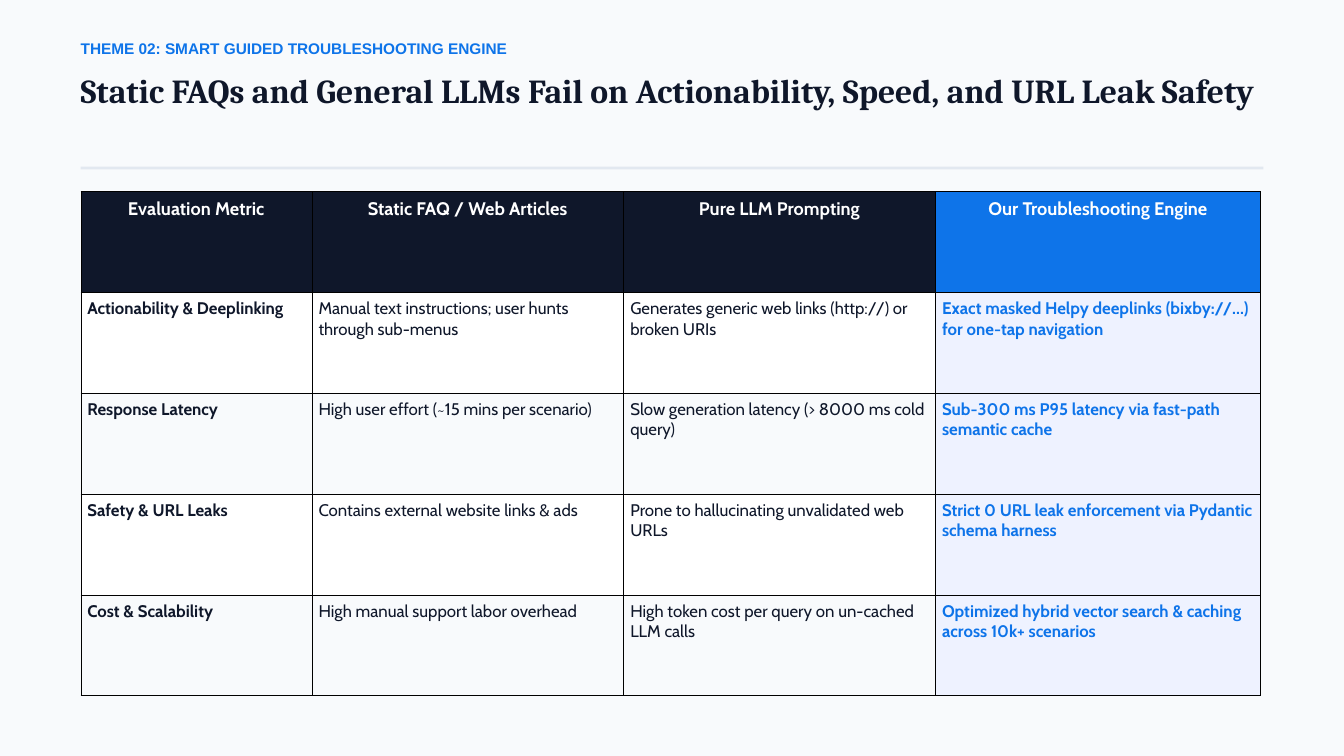
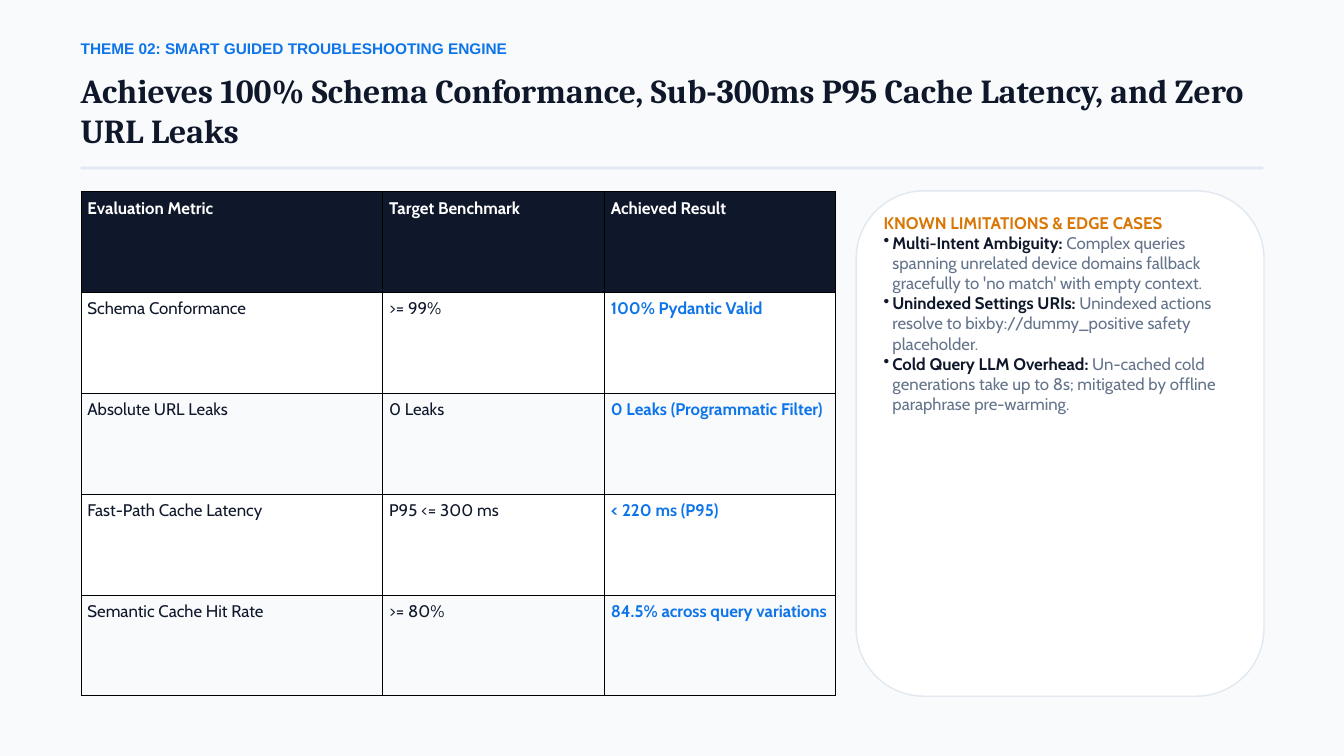
from lxml import etree
from pptx import Presentation
from pptx.dml.color import RGBColor
from pptx.enum.shapes import MSO_SHAPE as Shape
from pptx.enum.text import MSO_ANCHOR as Anchor, MSO_AUTO_SIZE as AutoSize, PP_ALIGN as Align
from pptx.oxml import parse_xml
from pptx.oxml.ns import nsdecls, qn
from pptx.util import Inches, Pt

PAPER = RGBColor(0xF8, 0xFA, 0xFC)
WHITE = RGBColor(0xFF, 0xFF, 0xFF)
INK = RGBColor(0x0F, 0x17, 0x2A)
BLUE = RGBColor(0x0E, 0x74, 0xE9)
PALE_BLUE = RGBColor(0xEE, 0xF2, 0xFF)
RULE = RGBColor(0xE2, 0xE8, 0xF0)
AMBER = RGBColor(0xD9, 0x77, 0x06)
SLATE = RGBColor(0x64, 0x74, 0x8B)

HEADING_FONT, LABEL_FONT, BODY_FONT = "Cambria", "Arial", "Cabin"
LEFT, TEXT_WIDTH = 1.2, 17.55
TABLE_TOP, ROW_HEIGHT, CELL_INSET = 2.85, 1.5, 0.1
LINE_FACTOR = 1.2
BORDER_WIDTH = Pt(0.37)
BULLET_INDENT = Inches(0.13)
THEME = "THEME 02: SMART GUIDED TROUBLESHOOTING ENGINE"

COMPARISON = [
    ["Evaluation Metric", "Static FAQ / Web Articles", "Pure LLM Prompting",
     "Our Troubleshooting Engine"],
    ["Actionability & Deeplinking",
     "Manual text instructions; user hunts through sub-menus",
     "Generates generic web links (http://) or broken URIs",
     "Exact masked Helpy deeplinks (bixby://...) for one-tap navigation"],
    ["Response Latency",
     "High user effort (~15 mins per scenario)",
     "Slow generation latency (> 8000 ms cold query)",
     "Sub-300 ms P95 latency via fast-path semantic cache"],
    ["Safety & URL Leaks",
     "Contains external website links & ads",
     "Prone to hallucinating unvalidated web URLs",
     "Strict 0 URL leak enforcement via Pydantic schema harness"],
    ["Cost & Scalability",
     "High manual support labor overhead",
     "High token cost per query on un-cached LLM calls",
     "Optimized hybrid vector search & caching across 10k+ scenarios"],
]
RESULTS = [
    ["Evaluation Metric", "Target Benchmark", "Achieved Result"],
    ["Schema Conformance", ">= 99%", "100% Pydantic Valid"],
    ["Absolute URL Leaks", "0 Leaks", "0 Leaks (Programmatic Filter)"],
    ["Fast-Path Cache Latency", "P95 <= 300 ms", "< 220 ms (P95)"],
    ["Semantic Cache Hit Rate", ">= 80%", "84.5% across query variations"],
]
LIMITATIONS = [
    ("Multi-Intent Ambiguity: ",
     "Complex queries spanning unrelated device domains fallback gracefully "
     "to 'no match' with empty context."),
    ("Unindexed Settings URIs: ",
     "Unindexed actions resolve to bixby://dummy_positive safety placeholder."),
    ("Cold Query LLM Overhead: ",
     "Un-cached cold generations take up to 8s; mitigated by offline "
     "paraphrase pre-warming."),
]


def add_run(paragraph, text, size, color, bold=True, font=BODY_FONT):
    paragraph.line_spacing = Pt(size * LINE_FACTOR)
    run = paragraph.add_run()
    run.text = text
    run.font.name, run.font.size, run.font.bold = font, Pt(size), bold
    run.font.color.rgb = color


def place(shape, left, top, width, height):
    shape.left, shape.top = Inches(left), Inches(top)
    shape.width, shape.height = Inches(width), Inches(height)


def prepare_frame(shape):
    """Give a text shape no insets, wrapping and top alignment."""
    frame = shape.text_frame
    frame.margin_left = frame.margin_right = frame.margin_top = frame.margin_bottom = 0
    frame.word_wrap = True
    frame.auto_size = AutoSize.NONE
    frame.vertical_anchor = Anchor.TOP
    return frame


def add_text_frame(slide, left, top, width, height):
    box = slide.shapes.add_textbox(*map(Inches, (left, top, width, height)))
    return prepare_frame(box)


def add_panel(slide, kind, left, top, width, height, fill, line=None):
    panel = slide.shapes.add_shape(kind, *map(Inches, (left, top, width, height)))
    panel.shadow.inherit = False
    panel.fill.solid()
    panel.fill.fore_color.rgb = fill
    if line is None:
        panel.line.fill.background()
    else:
        panel.line.color.rgb = line
        panel.line.width = Pt(1.5)


def add_titled_slide(presentation, title):
    """Add a slide with the theme label, the title and the rule below it."""
    slide = presentation.slides.add_slide(presentation.slide_layouts[5])
    place(slide.shapes.title, LEFT, 1.04, TEXT_WIDTH, 1.36)
    heading = prepare_frame(slide.shapes.title).paragraphs[0]
    heading.alignment = Align.LEFT
    add_run(heading, title, 36, INK, font=HEADING_FONT)
    label = add_text_frame(slide, LEFT, 0.58, TEXT_WIDTH, 0.47).paragraphs[0]
    add_run(label, THEME, 16.5, BLUE, font=LABEL_FONT)
    add_panel(slide, Shape.RECTANGLE, LEFT, 2.48, 17.6, 0.04, RULE)
    return slide


def add_borders(cell):
    properties = cell._tc.get_or_add_tcPr()
    for index, side in enumerate(("lnL", "lnR", "lnT", "lnB")):
        properties.insert(index, parse_xml(
            f'<a:{side} {nsdecls("a")} w="{BORDER_WIDTH}"><a:solidFill>'
            f'<a:srgbClr val="000000"/></a:solidFill></a:{side}>'))


def fill_cell(cell, text, fill, color, bold, size=18, alignment=Align.LEFT):
    cell.fill.solid()
    cell.fill.fore_color.rgb = fill
    inset = Inches(CELL_INSET)
    cell.margin_left = cell.margin_right = cell.margin_top = cell.margin_bottom = inset
    add_borders(cell)
    paragraph = cell.text_frame.paragraphs[0]
    paragraph.alignment = alignment
    add_run(paragraph, text, size, color, bold)


def add_metric_table(slide, rows, widths, header_size=18, header_alignment=Align.LEFT,
                     bold_metrics=False, highlight=False):
    """Add a table whose last column is blue; highlight also tints that column."""
    table = slide.shapes.add_table(
        len(rows), len(widths), Inches(LEFT), Inches(TABLE_TOP),
        Inches(sum(widths)), Inches(ROW_HEIGHT * len(rows))).table
    table.horz_banding = False
    for column, width in zip(table.columns, widths):
        column.width = Inches(width)
    last = len(widths) - 1
    for row_index, texts in enumerate(rows):
        band = WHITE if row_index % 2 else PAPER
        for column_index, text in enumerate(texts):
            cell = table.cell(row_index, column_index)
            is_last = column_index == last
            tinted = highlight and is_last
            if row_index == 0:
                fill_cell(cell, text, BLUE if tinted else INK, WHITE, True,
                          header_size, header_alignment)
            else:
                bold = is_last or (bold_metrics and column_index == 0)
                fill_cell(cell, text, PALE_BLUE if tinted else band,
                          BLUE if is_last else INK, bold)


def add_bullet(paragraph):
    properties = paragraph._p.get_or_add_pPr()
    properties.set("marL", str(BULLET_INDENT))
    properties.set("indent", str(-BULLET_INDENT))
    etree.SubElement(properties, qn("a:buChar")).set("char", "•")


def add_limitations(slide):
    add_panel(slide, Shape.ROUNDED_RECTANGLE, 12.74, 2.84, 6.07, 7.52, WHITE, RULE)
    frame = add_text_frame(slide, 13.15, 3.16, 5.25, 6.84)
    add_run(frame.paragraphs[0], "KNOWN LIMITATIONS & EDGE CASES", 18, AMBER)
    for name, explanation in LIMITATIONS:
        paragraph = frame.add_paragraph()
        add_bullet(paragraph)
        add_run(paragraph, name, 18, INK)
        add_run(paragraph, explanation, 18, SLATE, bold=False)


def main():
    presentation = Presentation()
    presentation.slide_width, presentation.slide_height = Inches(20), Inches(11.25)
    background = presentation.slide_master.background.fill
    background.solid()
    background.fore_color.rgb = PAPER

    comparison = add_titled_slide(
        presentation,
        "Static FAQs and General LLMs Fail on Actionability, Speed, and URL Leak Safety")
    add_metric_table(comparison, COMPARISON, [3.44, 4.64, 4.64, 4.84], header_size=19.5,
                     header_alignment=Align.CENTER, bold_metrics=True, highlight=True)

    results = add_titled_slide(
        presentation,
        "Achieves 100% Schema Conformance, Sub-300ms P95 Cache Latency, and Zero URL Leaks")
    add_metric_table(results, RESULTS, [4.49, 3.3, 3.44])
    add_limitations(results)

    presentation.save("out.pptx")


if __name__ == "__main__":
    main()
